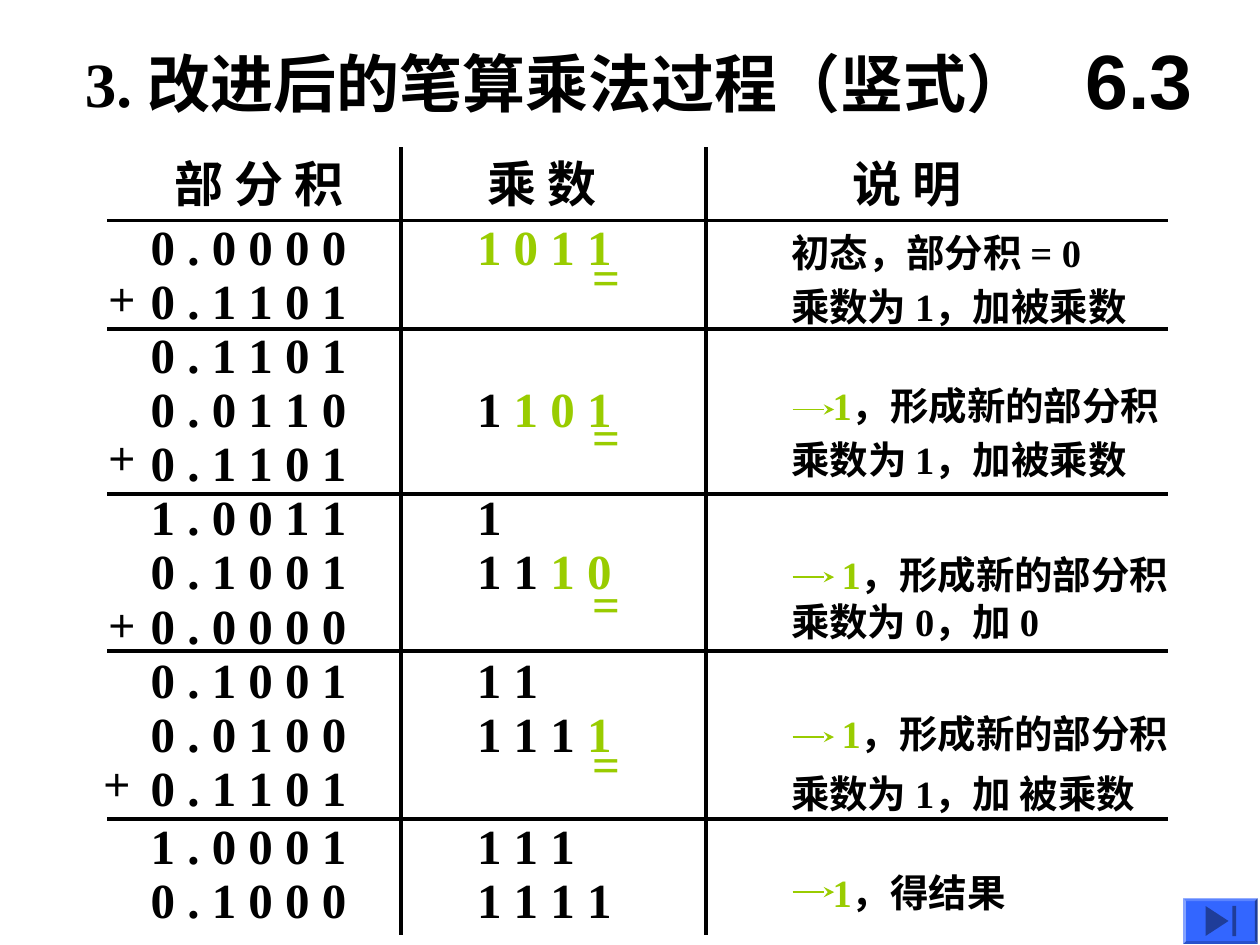
from dataclasses import dataclass

from pptx import Presentation
from pptx.dml.color import RGBColor
from pptx.enum.shapes import MSO_CONNECTOR, MSO_SHAPE
from pptx.enum.text import MSO_ANCHOR, MSO_AUTO_SIZE, PP_ALIGN
from pptx.oxml.ns import qn
from pptx.util import Pt
from lxml.etree import SubElement


@dataclass(frozen=True)
class Theme:
    ink: str = "000000"
    accent: str = "99CC00"
    button: str = "3366FF"
    icon: str = "1F3D99"
    serif: str = "Times New Roman"
    sans: str = "Arial"
    cjk: str = "Noto Sans CJK SC"
    number: int = 44
    title: int = 36
    digits: int = 28
    note: int = 22
    plus: int = 18


class Deck:
    def __init__(self, theme):
        self.theme = theme
        self.prs = Presentation()
        self.prs.slide_width, self.prs.slide_height = Pt(720), Pt(540)
        self.s = self.prs.slides.add_slide(self.prs.slide_layouts[6])

    def text(self, x, y, w, h, parts, size, font=None, wrap=False, tabs=()):
        """parts is a string in ink, or a list of (string, colour)."""
        if isinstance(parts, str):
            parts = [(parts, self.theme.ink)]
        tf = self.s.shapes.add_textbox(Pt(x), Pt(y), Pt(w), Pt(h)).text_frame
        tf.word_wrap = wrap
        tf.auto_size = MSO_AUTO_SIZE.SHAPE_TO_FIT_TEXT
        p = tf.paragraphs[0]
        if tabs:
            tab_list = SubElement(p._p.get_or_add_pPr(), qn("a:tabLst"))
            for pos in tabs:
                SubElement(tab_list, qn("a:tab"), pos=str(Pt(pos)), algn="l")
        f = p.font
        f.name, f.size, f.bold = font or self.theme.serif, Pt(size), True
        SubElement(f._element, qn("a:ea"), typeface=self.theme.cjk)
        for words, color in parts:
            r = p.add_run()
            r.text = words
            r.font.color.rgb = RGBColor.from_string(color)
        return tf

    def line(self, x1, y1, x2, y2, color, width, arrow=False):
        c = self.s.shapes.add_connector(
            MSO_CONNECTOR.STRAIGHT, Pt(x1), Pt(y1), Pt(x2), Pt(y2))
        c.line.color.rgb = RGBColor.from_string(color)
        c.line.width = Pt(width)
        if arrow:
            SubElement(c.line._get_or_add_ln(), qn("a:tailEnd"), type="stealth")
        SubElement(c._element.spPr, qn("a:effectLst"))

    def shape(self, kind, x, y, w, h, color):
        sp = self.s.shapes.add_shape(kind, Pt(x), Pt(y), Pt(w), Pt(h))
        sp.shadow.inherit = False
        sp.fill.solid()
        sp.fill.fore_color.rgb = RGBColor.from_string(color)
        sp.line.fill.background()
        return sp


def main():
    t = Theme()
    d = Deck(t)

    # Title and section number
    d.text(41.4, 21.9, 563, 50.4, "3. 改进后的笔算乘法过程（竖式）", t.title)
    tf = d.text(606, 12.2, 90, 66, "6.3", t.number, t.sans, wrap=True)
    tf.auto_size = MSO_AUTO_SIZE.NONE
    tf.vertical_anchor = MSO_ANCHOR.MIDDLE
    tf.paragraphs[0].alignment = PP_ALIGN.CENTER

    # Column heads and rules
    d.text(60.5, 84.2, 530, 41, "\t部 分 积\t乘 数\t说 明", t.digits,
           wrap=True, tabs=(32, 211, 419.5))
    for y in (126, 188, 282.2, 372.2, 468):
        d.line(61.2, y, 667.4, y, t.ink, 2.25)
    for x in (229, 403.2):
        d.line(x, 84.2, x, 534.2, t.ink, 2.25)

    # Partial products, with the multiplier split into product bits and the rest
    rows = [
        ("0.0000", "", "1011"), ("0.1101", "", ""), ("0.1101", "", ""),
        ("0.0110", "1", "101"), ("0.1101", "", ""), ("1.0011", "1", ""),
        ("0.1001", "11", "10"), ("0.0000", "", ""), ("0.1001", "11", ""),
        ("0.0100", "111", "1"), ("0.1101", "", ""),
        ("1.0001", "111", ""), ("0.1000", "1111", ""),
    ]
    for i, (product, done, rest) in enumerate(rows):
        y = 120.2 + 30.9 * i + (2.2 if i > 10 else 0)
        d.text(79, y, 126, 41, " ".join(product), t.digits)
        gap = " " if done and rest else ""
        parts = [(" ".join(done) + gap, t.ink), (" ".join(rest), t.accent)]
        parts = [part for part in parts if part[0]]
        if parts:
            width = 32 + 21 * (len(done + rest) - 1)
            d.text(265.5, y, width, 41, parts, t.digits, wrap=True)

    # Marks under the current multiplier bit
    for y in (137.5, 229, 324, 415.4):
        d.text(331.2, y, 30.2, 41, [("=", t.accent)], t.digits)

    # Plus signs
    for x, y in ((54, 157), (54, 247.7), (54, 343.4), (51, 434.2)):
        d.text(x, y, 42.5, 29, "＋", t.plus, t.cjk, wrap=True)

    # Notes on additions
    for y, w, words in (
        (127.4, 226, "初态，部分积 = 0"),
        (158.4, 236, "乘数为 1，加被乘数"),
        (245.5, 228, "乘数为 1，加被乘数"),
        (338.4, 194, "乘数为 0，加 0"),
        (436.3, 230, "乘数为 1，加 被乘数"),
    ):
        d.text(445, y, w, 34, words, t.note, wrap=True)

    # Notes on shifts
    shifted = "，形成新的部分积"
    for x, y, w, arrow_y, words in (
        (468.7, 214.6, 212, 234, shifted),
        (473.8, 311.4, 212, 329.8, shifted),
        (473.8, 402.2, 212, 421.2, shifted),
        (468.7, 493.2, 124, 509.8, "，得结果"),
    ):
        d.line(452.9, arrow_y, 476.6, arrow_y, t.accent, 0.75, arrow=True)
        d.text(x, y, w, 34, [("1", t.accent), (words, t.ink)], t.note, wrap=True)

    # Skip-to-end button
    button = d.shape(MSO_SHAPE.BEVEL, 676.1, 513.4, 42.5, 25.9, t.button)
    button.adjustments[0] = 0.06
    d.shape(MSO_SHAPE.ISOSCELES_TRIANGLE, 687, 519.8, 17, 13, t.icon).rotation = 90
    d.shape(MSO_SHAPE.RECTANGLE, 704.2, 517.7, 2.2, 17.3, t.icon)

    d.prs.save("out.pptx")


if __name__ == "__main__":
    main()
